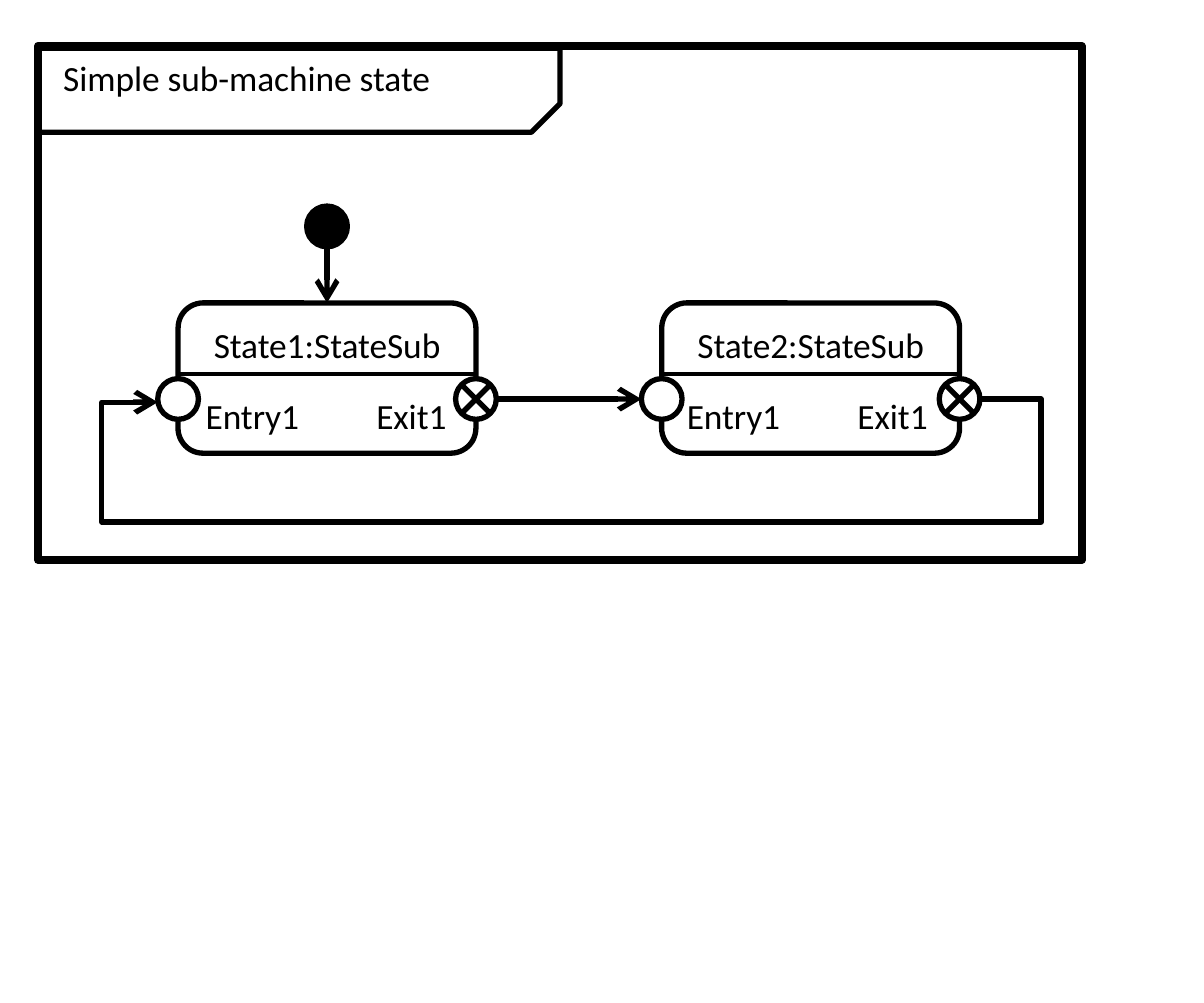
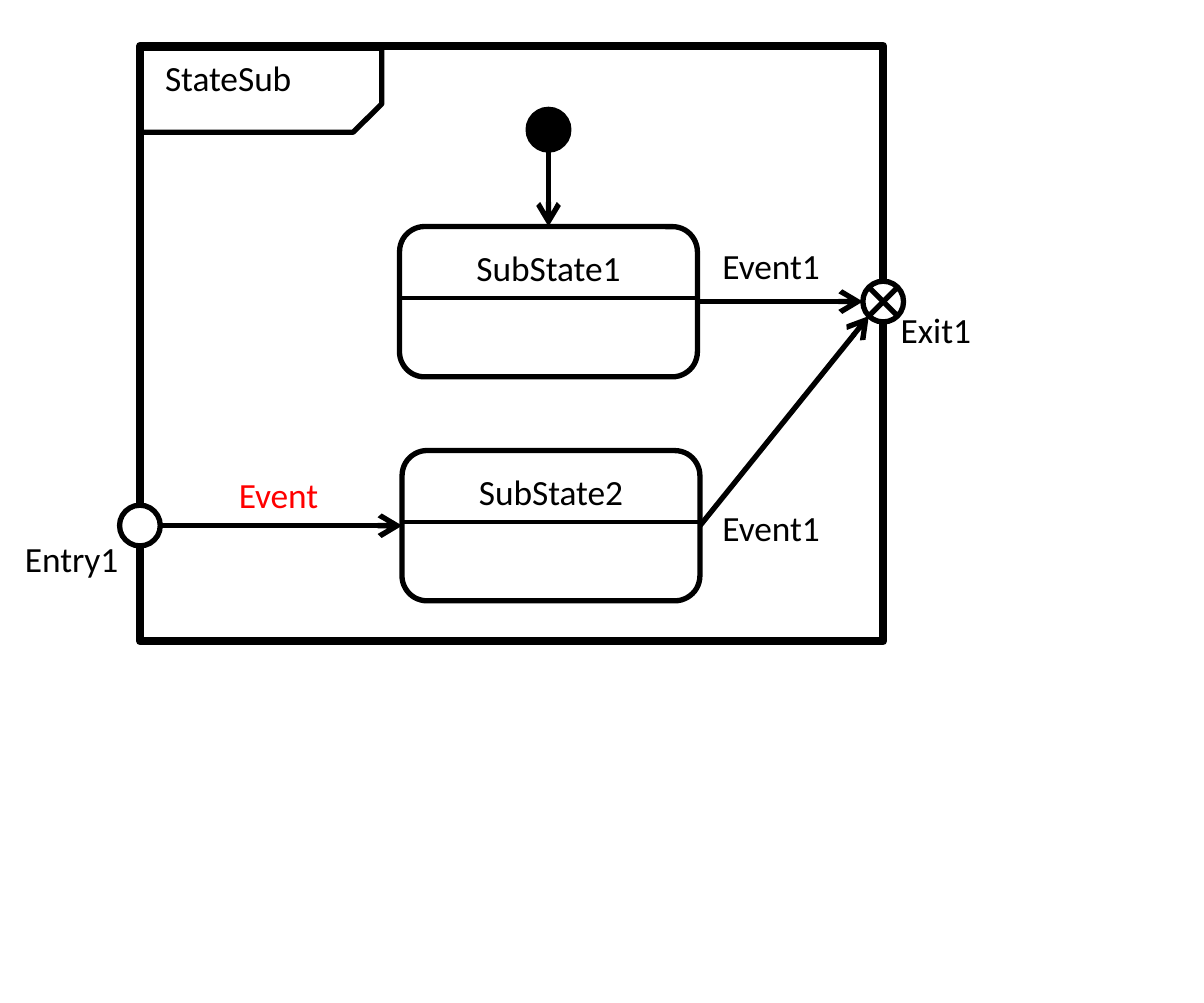
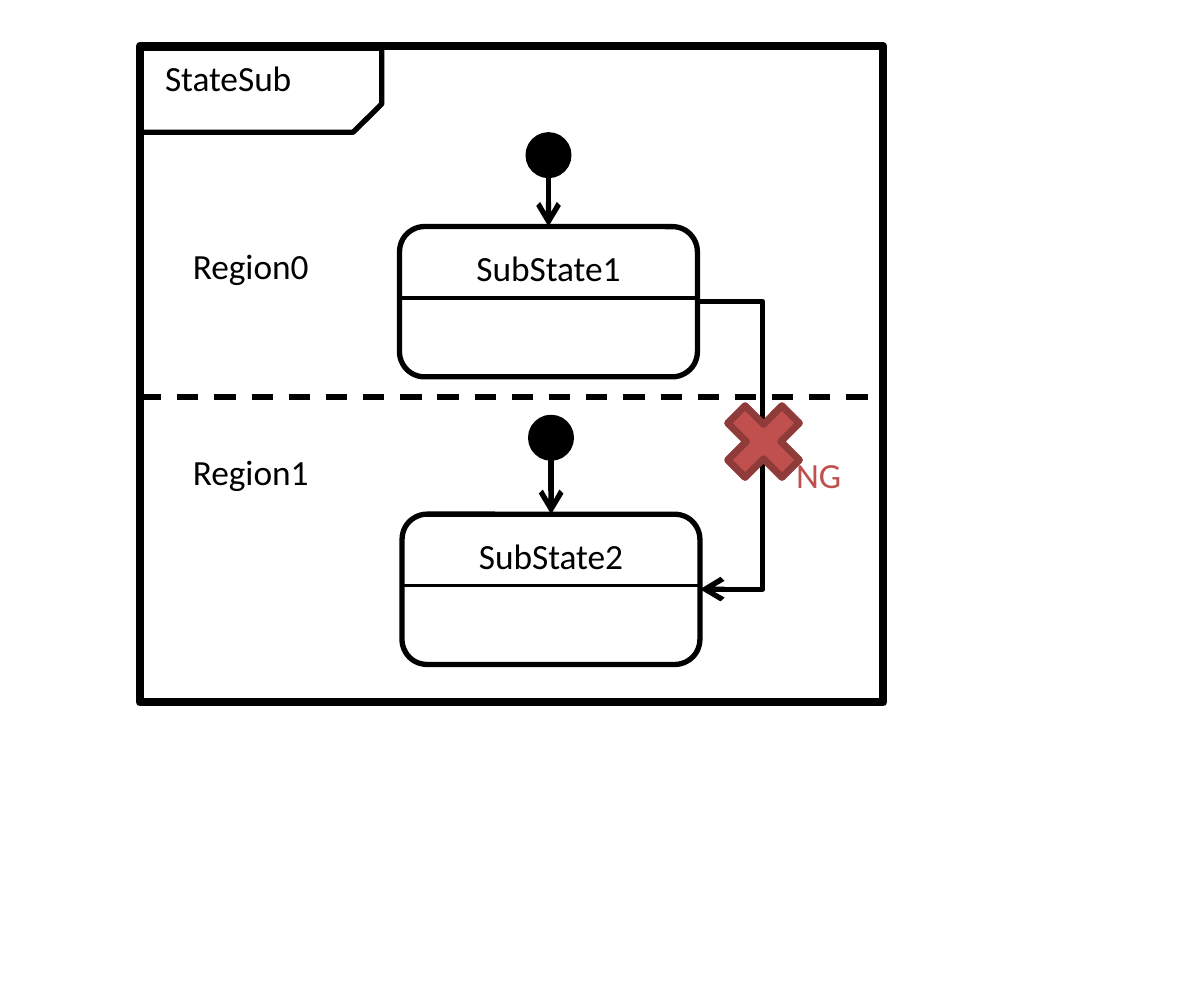
from dataclasses import dataclass
from pptx import Presentation
from pptx import util as u
from pptx.dml import color as c
from pptx.enum import dml, shapes as s, text as t
from pptx.oxml import ns, xmlchemy as x

BLACK = c.RGBColor(0x00, 0x00, 0x00)
WHITE = c.RGBColor(0xFF, 0xFF, 0xFF)
RED = c.RGBColor(0xFF, 0x00, 0x00)
BRICK = c.RGBColor(0xC0, 0x50, 0x4D)
DARK_BRICK = c.RGBColor(0x8E, 0x3B, 0x39)
FONT = "Calibri"
FONT_SIZE = 10
STROKE = 1.5
PIN_SIZE = 11.52
PIN_RADIUS = PIN_SIZE / 2
PIN_DIAGONAL = PIN_RADIUS * 0.71
PIN_DROP = 27.2
STATE_SIZE = (84.24, 42.48)
STATE_HEADER = 20.16
LABEL_HEIGHT = 19.44
LABEL_WIDTH = 52.56
EXIT_WIDTH = 39.6


@dataclass
class Box:
    """A rectangle in points."""
    left: float
    top: float
    width: float
    height: float

    @property
    def right(self):
        """Return the right edge."""
        return self.left + self.width

    @property
    def center(self):
        """Return the horizontal centre."""
        return self.left + self.width / 2

    @property
    def middle(self):
        """Return the vertical centre."""
        return self.top + self.height / 2

    def lengths(self):
        """Return left, top, width and height as lengths."""
        return [u.Pt(value) for value in (self.left, self.top, self.width, self.height)]


def pin_box(center, middle):
    """Return the box of a small circle around a point."""
    return Box(center - PIN_RADIUS, middle - PIN_RADIUS, PIN_SIZE, PIN_SIZE)


def state_box(frame, left, top):
    """Return the box of a state offset from its frame."""
    return Box(frame.left + left, frame.top + top, *STATE_SIZE)


def style_line(item, width=STROKE, color=BLACK, arrow=False):
    """Set line colour and width, with an optional open arrowhead."""
    item.line.color.rgb = color
    item.line.width = u.Pt(width)
    if arrow:
        outline = item.element.spPr.find(ns.qn("a:ln"))
        x.OxmlElement("a:tailEnd")
        head = x.OxmlElement("a:tailEnd")
        head.set("type", "arrow")
        outline.append(head)


def write(frame, words, color=BLACK, align=t.PP_ALIGN.LEFT):
    """Write one run of text into a text frame."""
    frame.word_wrap = True
    frame.vertical_anchor = t.MSO_ANCHOR.TOP
    para = frame.paragraphs[0]
    para.alignment = align
    span = para.add_run()
    span.text = words
    span.font.name = FONT
    span.font.size = u.Pt(FONT_SIZE)
    span.font.color.rgb = color


def add_label(page, words, left, top, width=LABEL_WIDTH, color=BLACK):
    """Add a line of free text."""
    label = page.shapes.add_textbox(*Box(left, top, width, LABEL_HEIGHT).lengths())
    write(label.text_frame, words, color)
    label.text_frame.auto_size = t.MSO_AUTO_SIZE.SHAPE_TO_FIT_TEXT


def add_outline(page, kind, box, fill=None, width=STROKE, color=BLACK):
    """Add a preset shape with a plain line and an optional fill."""
    shape = page.shapes.add_shape(kind, *box.lengths())
    shape.shadow.inherit = False
    if fill is None:
        shape.fill.background()
    else:
        shape.fill.solid()
        shape.fill.fore_color.rgb = fill
    style_line(shape, width, color)
    return shape


def add_line(page, start, end, width=STROKE, arrow=False, kind=s.MSO_CONNECTOR.STRAIGHT):
    """Add a connector between two points."""
    line = page.shapes.add_connector(kind, *[u.Pt(value) for value in (*start, *end)])
    style_line(line, width, arrow=arrow)
    line.element.spPr.append(x.OxmlElement("a:effectLst"))
    return line


def add_frame(page, box, title, tab_width):
    """Add a diagram frame with its title tab."""
    add_outline(page, s.MSO_SHAPE.RECTANGLE, box, width=2.25)
    tab = add_outline(page, s.MSO_SHAPE.SNIP_1_RECTANGLE,
                      Box(box.left, box.top + 0.72, tab_width, 23.76))
    tab.adjustments[0] = 0.34
    tab.element.spPr.xfrm.set("flipV", "1")
    add_label(page, title, box.left, box.top - 0.72, tab_width)


def add_state(page, box, name):
    """Add a rounded state with a name and a divider."""
    state = add_outline(page, s.MSO_SHAPE.ROUNDED_RECTANGLE, box)
    write(state.text_frame, name, align=t.PP_ALIGN.CENTER)
    divider = box.top + STATE_HEADER
    add_line(page, (box.left, divider), (box.right, divider), width=1)


def add_initial(page, state, gap):
    """Add an initial node above a state with an arrow into it."""
    bottom = state.top - gap
    add_line(page, (state.center, bottom), (state.center, state.top), arrow=True)
    add_outline(page, s.MSO_SHAPE.FLOWCHART_CONNECTOR,
                pin_box(state.center, bottom - PIN_RADIUS), BLACK)


def add_entry(page, pin):
    """Add an entry point circle."""
    add_outline(page, s.MSO_SHAPE.FLOWCHART_CONNECTOR, pin, WHITE)


def add_exit(page, pin):
    """Add an exit point circle with a cross."""
    add_entry(page, pin)
    left, right = pin.center - PIN_DIAGONAL, pin.center + PIN_DIAGONAL
    for rise in (-PIN_DIAGONAL, PIN_DIAGONAL):
        add_line(page, (left, pin.middle + rise), (right, pin.middle - rise))


def add_submachine(page, state, name, label_shift):
    """Add a state with entry and exit points and return the two points."""
    add_state(page, state, name)
    entry, leave = (pin_box(edge, state.top + PIN_DROP) for edge in (state.left, state.right))
    add_entry(page, entry)
    add_exit(page, leave)
    left, top = state.left + label_shift, state.top + 22.32
    add_label(page, "Entry1", left, top)
    add_label(page, "Exit1", left + 48.24, top, EXIT_WIDTH)
    return entry, leave


def add_loop(page, frame, start, end):
    """Add the arrow that runs from the last exit back to the first entry."""
    right, left, bottom = frame.right - 11.52, frame.left + 18, frame.top + 134.64
    arrival = end.middle + 0.9
    corners = [(right, start.middle), (right, bottom), (left, bottom),
               (left, arrival), (end.left, arrival)]
    builder = page.shapes.build_freeform(u.Pt(start.right), u.Pt(start.middle))
    builder.add_line_segments([(u.Pt(across), u.Pt(down)) for across, down in corners],
                              close=False)
    loop = builder.convert_to_shape()
    loop.shadow.inherit = False
    loop.fill.background()
    style_line(loop, arrow=True)


def build_submachine_page(page, frame):
    """Build the diagram of two linked sub-machine states."""
    add_frame(page, frame, "Simple sub-machine state", 147.6)
    first, second = (state_box(frame, left, 72.72) for left in (39.6, 176.4))
    add_initial(page, first, 15.84)
    first_entry, first_exit = add_submachine(page, first, "State1:StateSub", 0.72)
    second_entry, second_exit = add_submachine(page, second, "State2:StateSub", 0)
    add_line(page, (first_exit.right, first_exit.middle),
             (second_entry.left, second_entry.middle), arrow=True)
    add_loop(page, frame, second_exit, first_entry)


def add_substates(page, frame, second_top, first_gap):
    """Add the StateSub frame and its two states, and return the states."""
    add_frame(page, frame, "StateSub", 68.4)
    first = state_box(frame, 73.44, 51.12)
    second = state_box(frame, 74.16, second_top)
    add_state(page, first, "SubState1")
    add_state(page, second, "SubState2")
    add_initial(page, first, first_gap)
    return first, second


def build_points_page(page, frame):
    """Build the diagram with entry and exit points on the frame."""
    first, second = add_substates(page, frame, 114.48, 21.6)
    entry = pin_box(frame.left, second.middle)
    leave = pin_box(frame.right, first.middle)
    add_entry(page, entry)
    add_exit(page, leave)
    corner = (leave.center - PIN_DIAGONAL, leave.middle + PIN_DIAGONAL)
    for start, end in (((entry.right, entry.middle), (second.left, second.middle)),
                       ((first.right, first.middle), (leave.left, leave.middle)),
                       ((second.right, second.middle), corner)):
        add_line(page, start, end, arrow=True)
    add_label(page, "Entry1", entry.center - 39.6, entry.middle - 0.36)
    add_label(page, "Exit1", leave.center - 2.16, leave.middle - 1.8, EXIT_WIDTH)
    add_label(page, "Event1", first.right, first.middle - 19.8)
    add_label(page, "Event1", first.right, second.middle - 9)
    add_label(page, "Event", frame.left + 20.88, second.middle - 18.36, color=RED)


def add_forbidden(page, frame, first, second):
    """Add the bent arrow between regions with its cross and NG mark."""
    turn = frame.left + 176.4
    arrow = add_line(page, (first.right, first.middle), (second.right, second.middle),
                     arrow=True, kind=s.MSO_CONNECTOR.ELBOW)
    guide = x.OxmlElement("a:gd")
    ratio = (turn - first.right) / (second.right - first.right)
    guide.set("name", "adj1")
    guide.set("fmla", f"val {round(ratio * 100000)}")
    arrow.element.spPr.prstGeom.get_or_add_avLst().append(guide)
    size = 29.52
    add_outline(page, s.MSO_SHAPE.MATH_MULTIPLY,
                Box(turn - size / 2, frame.top + 97.2, size, size), BRICK, 2, DARK_BRICK)
    add_label(page, "NG", turn + 2.16, frame.top + 111.6, 31.68, BRICK)


def build_regions_page(page, frame):
    """Build the diagram with two regions and a forbidden transition."""
    first, second = add_substates(page, frame, 132.48, 14.4)
    add_initial(page, second, 15.84)
    border = frame.top + 99.36
    divider = add_line(page, (frame.left, border), (frame.right, border))
    divider.line.dash_style = dml.MSO_LINE.DASH
    for name, top in (("Region0", 52.56), ("Region1", 110.88)):
        add_label(page, name, frame.left + 7.92, frame.top + top)
    add_forbidden(page, frame, first, second)


def main():
    """Build the three diagrams and save the deck."""
    deck = Presentation()
    deck.slide_width, deck.slide_height = u.Pt(340.56), u.Pt(283.68)
    for build, frame in ((build_submachine_page, Box(10.8, 12.96, 295.2, 145.44)),
                         (build_points_page, Box(39.6, 12.96, 210.24, 168.48)),
                         (build_regions_page, Box(39.6, 12.96, 210.24, 185.76))):
        build(deck.slides.add_slide(deck.slide_layouts[6]), frame)
    deck.save("out.pptx")


if __name__ == "__main__":
    main()
